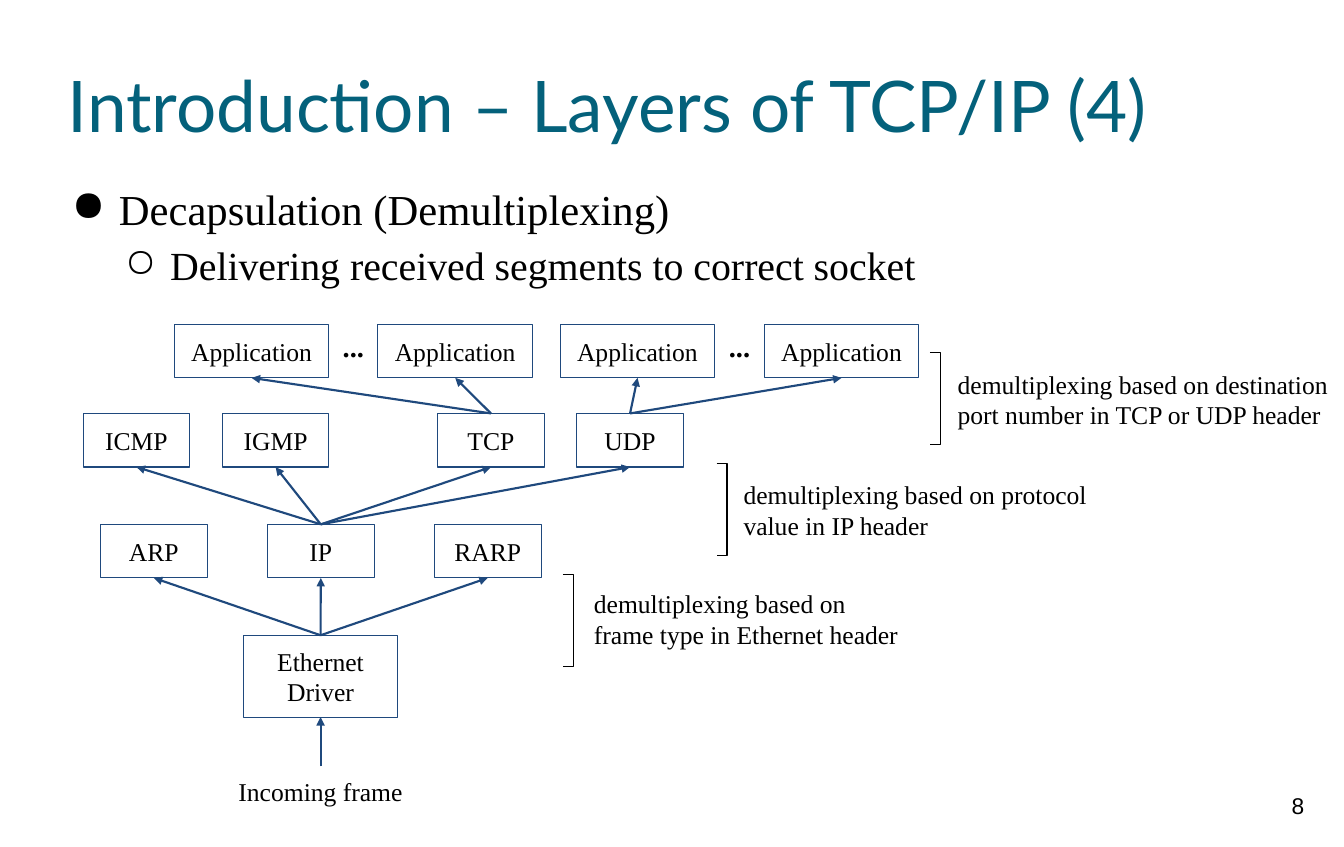
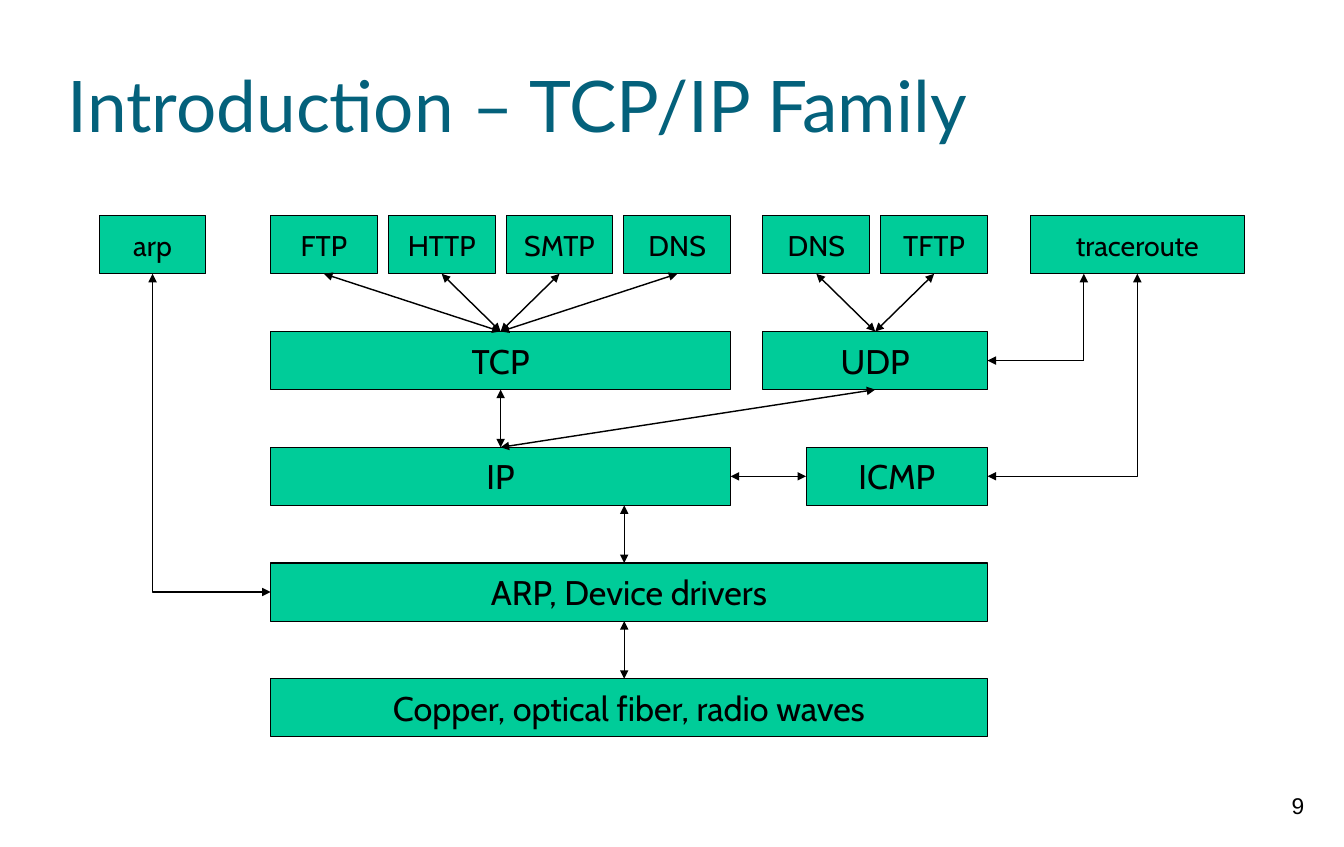
from dataclasses import dataclass

from lxml.etree import SubElement
from pptx import Presentation
from pptx.dml.color import RGBColor
from pptx.enum.shapes import MSO_CONNECTOR as Connector, MSO_SHAPE as Shape
from pptx.enum.text import MSO_ANCHOR as Anchor, PP_ALIGN as Align
from pptx.oxml.ns import qn
from pptx.util import Cm, Pt


@dataclass(frozen=True)
class Theme:
    title_color: str = "04617B"
    ink: str = "000000"
    outline: str = "1F497D"
    green: str = "00CC99"
    title_font: str = "Lato"
    body_font: str = "Times New Roman"
    family_font: str = "Cabin"
    number_font: str = "Arial"
    title_size: float = 50
    bullet_sizes: tuple = (30, 28)
    label_size: float = 18
    dots_size: float = 20
    protocol_size: float = 20
    layer_size: float = 24
    number_size: float = 16


THEME = Theme()
TOP, LEFT, BOTTOM, RIGHT = range(4)


def write_text(shape, text, size=THEME.label_size, font=THEME.body_font,
               color=THEME.ink, bold=False, align=Align.LEFT,
               anchor=Anchor.TOP, inset=(0.25, 0.25)):
    frame = shape.text_frame
    frame.word_wrap = True
    frame.vertical_anchor = anchor
    frame.margin_left = frame.margin_right = Cm(inset[0])
    frame.margin_top = frame.margin_bottom = Cm(inset[1])
    for index, line in enumerate(text.split("\n")):
        paragraph = frame.add_paragraph() if index else frame.paragraphs[0]
        paragraph.alignment = align
        run = paragraph.add_run()
        run.text = line
        run.font.size = Pt(size)
        run.font.name = font
        run.font.bold = bold
        run.font.color.rgb = RGBColor.from_string(color)


def add_label(slide, text, left, top, width, height, **text_format):
    label = slide.shapes.add_textbox(Cm(left), Cm(top), Cm(width), Cm(height))
    write_text(label, text, **text_format)
    return label


def add_box(slide, text, left, top, width, height, fill=None,
            outline=THEME.outline, **text_format):
    box = slide.shapes.add_shape(
        Shape.RECTANGLE, Cm(left), Cm(top), Cm(width), Cm(height))
    box.shadow.inherit = False
    if fill:
        box.fill.solid()
        box.fill.fore_color.rgb = RGBColor.from_string(fill)
    else:
        box.fill.background()
    box.line.color.rgb = RGBColor.from_string(outline)
    box.line.width = Pt(0.75)
    write_text(box, text, align=Align.CENTER, anchor=Anchor.MIDDLE, **text_format)
    return box


def add_line(slide, start=(0, 0), end=(0, 0), kind=Connector.STRAIGHT,
             color=THEME.ink, width=1, head=True, tail=True):
    line = slide.shapes.add_connector(kind, *map(Cm, (*start, *end)))
    line.line.color.rgb = RGBColor.from_string(color)
    line.line.width = Pt(width)
    properties = line.element.spPr
    outline = properties.find(qn("a:ln"))
    for tag, shown in (("a:headEnd", head), ("a:tailEnd", tail)):
        if shown:
            SubElement(outline, qn(tag), type="triangle")
    SubElement(properties, qn("a:effectLst"))
    return line


def connect(slide, source, target, sites=(TOP, BOTTOM), **line_format):
    line = add_line(slide, **line_format)
    line.begin_connect(source, sites[0])
    line.end_connect(target, sites[1])
    return line


def connect_elbow(slide, source, target, sites):
    line = connect(slide, source, target, sites, kind=Connector.ELBOW)
    line.element.spPr.find(qn("a:prstGeom")).set("prst", "bentConnector2")


def connect_upward(slide, source, targets):
    for target in targets:
        connect(slide, source, target, color=THEME.outline, width=1.5, head=False)


def add_bracket(slide, right, top, height=2.29, tick=0.26):
    left, bottom = right - tick, top + height
    builder = slide.shapes.build_freeform(Cm(left), Cm(top))
    builder.add_line_segments(
        [(Cm(x), Cm(y)) for x, y in ((right, top), (right, bottom), (left, bottom))],
        close=False)
    bracket = builder.convert_to_shape()
    bracket.shadow.inherit = False
    bracket.fill.background()
    bracket.line.color.rgb = RGBColor.from_string(THEME.ink)
    bracket.line.width = Pt(0.75)


def add_bullets(slide, lines, left, top, width, height):
    body = add_label(slide, "\n".join(lines), left, top, width, height, inset=(0, 0))
    levels = zip(body.text_frame.paragraphs, THEME.bullet_sizes,
                 "●○", (1.27, 2.54), (-1.17, -1.12))
    for level, (paragraph, size, mark, margin, indent) in enumerate(levels):
        paragraph.level = level
        paragraph.line_spacing = 1.15
        paragraph.runs[0].font.size = Pt(size)
        properties = paragraph._p.get_or_add_pPr()
        properties.set("marL", str(Cm(margin)))
        properties.set("indent", str(Cm(indent)))
        SubElement(properties, qn("a:buChar"), char=mark)


def start_slide(presentation, title, number):
    slide = presentation.slides.add_slide(presentation.slide_layouts[6])
    add_label(slide, title, 1.68, 0.84, 30, 3.5, size=THEME.title_size,
              font=THEME.title_font, color=THEME.title_color,
              anchor=Anchor.MIDDLE, inset=(0, 0))
    add_label(slide, str(number), 31.19, 19.38, 2, 1.6, size=THEME.number_size,
              font=THEME.number_font, align=Align.CENTER)
    return slide


def build_layers(presentation):
    slide = start_slide(presentation, "Introduction – Layers of TCP/IP (4)", 8)
    add_bullets(slide, ("Decapsulation (Demultiplexing)",
                        "Delivering received segments to correct socket"),
                1.68, 4.34, 30.07, 2.82)

    box_width, box_height, wide = 2.65, 1.33, 3.84
    app_top, transport_top, row_step = 8.04, 10.25, 2.75
    network_top = transport_top + row_step
    driver_top = network_top + row_step

    app_lefts = (4.32, 9.37, 13.89, 18.95)
    apps = [add_box(slide, "Application", left, app_top, wide, box_height)
            for left in app_lefts]
    for first, second in (app_lefts[:2], app_lefts[2:]):
        middle = (first + wide + second) / 2
        add_label(slide, "...", middle - 1.4, 7.9, 2.8, 1.6, size=THEME.dots_size,
                  bold=True, align=Align.CENTER)

    transports = [
        add_box(slide, name, left, transport_top, box_width, box_height)
        for name, left in (("ICMP", 2.06), ("IGMP", 5.51),
                           ("TCP", 10.85), ("UDP", 14.3))]
    networks = [
        add_box(slide, name, 2.49 + 4.14 * column, network_top, box_width, box_height)
        for column, name in enumerate(("ARP", "IP", "RARP"))]
    driver = add_box(slide, "Ethernet\nDriver", 6.03, driver_top, wide, 2.03)
    frame = add_label(slide, "Incoming frame", 5.64, 19, 4.62, 1.33,
                      align=Align.CENTER)

    connect_upward(slide, frame, [driver])
    connect_upward(slide, driver, networks)
    connect_upward(slide, networks[1], transports)
    connect_upward(slide, transports[2], apps[:2])
    connect_upward(slide, transports[3], apps[2:])

    notes = (
        (23.32, 23.5, 8.89, 9.83,
         "demultiplexing based on destination port number in TCP or UDP header"),
        (18.03, 18.19, 11.63, 9.83,
         "demultiplexing based on protocol value in IP header"),
        (14.22, 14.48, 14.33, 8.25,
         "demultiplexing based on frame type in Ethernet header"),
    )
    for row, (bracket_right, left, top, width, text) in enumerate(notes):
        add_bracket(slide, bracket_right, 8.74 + row_step * row)
        add_label(slide, text, left, top, width, 2)


def build_family(presentation):
    slide = start_slide(presentation, "Introduction – TCP/IP Family", 9)
    height, cell, cell_step = 1.44, 2.65, 2.92
    tops = [5.35 + 2.87 * row for row in range(5)]
    tcp_left, udp_left = 6.71, 18.92
    tcp_width = 3 * cell_step + cell
    udp_width = cell_step + cell
    right = udp_left + udp_width
    full_width = right - tcp_left

    def add_layer(text, left, row, width, size=THEME.layer_size):
        return add_box(slide, text, left, tops[row], width, height,
                       fill=THEME.green, outline=THEME.ink, size=size,
                       font=THEME.family_font, inset=(0.25, 0.13))

    def add_protocols(names, left, width=cell):
        return [add_layer(name, left + cell_step * column, 0, width,
                          THEME.protocol_size)
                for column, name in enumerate(names)]

    arp, = add_protocols(["arp"], 2.46)
    tcp_users = add_protocols(["FTP", "HTTP", "SMTP", "DNS"], tcp_left)
    udp_users = add_protocols(["DNS", "TFTP"], udp_left)
    trace_left, trace_width = 25.55, 5.31
    traceroute, = add_protocols(["traceroute"], trace_left, trace_width)
    tcp = add_layer("TCP", tcp_left, 1, tcp_width)
    udp = add_layer("UDP", udp_left, 1, udp_width)
    ip = add_layer("IP", tcp_left, 2, tcp_width)
    icmp = add_layer("ICMP", 19.99, 2, right - 19.99)
    drivers = add_layer("ARP, Device drivers", tcp_left, 3, full_width)
    add_layer("Copper, optical fiber, radio waves", tcp_left, 4, full_width)

    for source, targets in ((tcp, tcp_users), (udp, udp_users), (ip, (tcp, udp))):
        for target in targets:
            connect(slide, source, target)
    connect(slide, ip, icmp, (RIGHT, LEFT))
    connect_elbow(slide, icmp, traceroute, (RIGHT, BOTTOM))
    connect_elbow(slide, drivers, arp, (LEFT, BOTTOM))

    corner = (trace_left + trace_width / 4, tops[1] + height / 2)
    add_line(slide, (corner[0], tops[0] + height), corner, tail=False)
    add_line(slide, corner, (right, corner[1]), head=False)
    for row in (3, 4):
        add_line(slide, (15.48, tops[row]), (15.48, tops[row - 1] + height))


def main():
    presentation = Presentation()
    presentation.slide_width = Cm(33.33)
    presentation.slide_height = Cm(21)
    build_layers(presentation)
    build_family(presentation)
    presentation.save("out.pptx")


if __name__ == "__main__":
    main()
